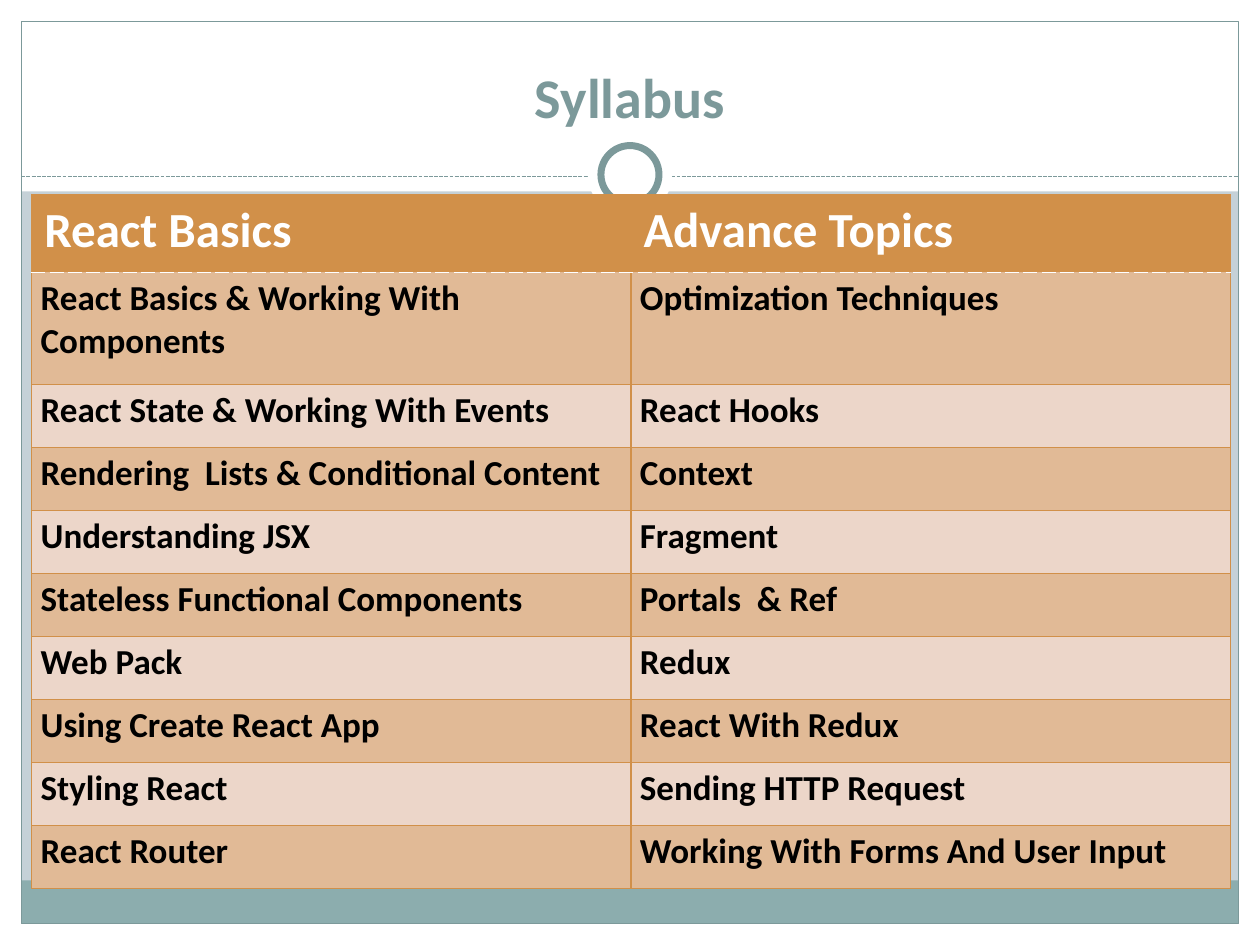
import dataclasses

import lxml.etree
import pptx
import pptx.dml.color
import pptx.enum.dml
import pptx.enum.shapes
import pptx.enum.text
import pptx.oxml.ns
import pptx.util

Cm = pptx.util.Cm
Pt = pptx.util.Pt
SHAPE = pptx.enum.shapes.MSO_SHAPE
ALIGN = pptx.enum.text.PP_ALIGN


@dataclasses.dataclass(frozen=True)
class Theme:
    font: str = "Calibri"
    title_size: int = 32
    header_size: int = 28
    body_size: int = 20
    background: str = "C5D1D7"
    white: str = "FFFFFF"
    black: str = "000000"
    accent: str = "7C999A"
    footer: str = "8CADAE"
    orange: str = "D19049"
    dark_row: str = "E1BA96"
    light_row: str = "ECD6C9"
    hairline: float = 0.75


SLIDE_WIDTH, SLIDE_HEIGHT = 25.4, 19.05
MARGIN = 0.43
BANNER_HEIGHT = 3.86
RULE_Y = 3.56
RING_CENTER = (SLIDE_WIDTH / 2, 3.52)
COLUMN_WIDTH = 12.08
ROW_HEIGHTS = [1.57, 2.26] + [1.27] * 8

TOPICS = [
    ("React Basics", "Advance Topics"),
    ("React Basics & Working With Components", "Optimization Techniques"),
    ("React State & Working With Events", "React Hooks"),
    ("Rendering  Lists & Conditional Content", "Context"),
    ("Understanding JSX", "Fragment"),
    ("Stateless Functional Components", "Portals  & Ref"),
    ("Web Pack", "Redux"),
    ("Using Create React App", "React With Redux"),
    ("Styling React", "Sending HTTP Request"),
    ("React Router", "Working With Forms And User Input"),
]


def rgb(color):
    return pptx.dml.color.RGBColor.from_string(color)


def write_text(frame, text, *, font, size, color, bold=True, align=ALIGN.LEFT):
    paragraph = frame.paragraphs[0]
    paragraph.alignment = align
    run = paragraph.add_run()
    run.text = text
    run.font.name = font
    run.font.size = Pt(size)
    run.font.bold = bold
    run.font.color.rgb = rgb(color)


def add_border(cell, side, color, width, dash="solid"):
    """Draw one cell side: L, R, T or B, called in that order before the fill."""
    qn = pptx.oxml.ns.qn
    properties = cell._tc.get_or_add_tcPr()
    line = lxml.etree.SubElement(properties, qn(f"a:ln{side}"), w=str(Pt(width)))
    fill = lxml.etree.SubElement(line, qn("a:solidFill"))
    lxml.etree.SubElement(fill, qn("a:srgbClr"), val=color)
    lxml.etree.SubElement(line, qn("a:prstDash"), val=dash)


class SlideBuilder:
    def __init__(self, slide, theme):
        self.slide = slide
        self.theme = theme

    def background(self):
        fill = self.slide.background.fill
        fill.solid()
        fill.fore_color.rgb = rgb(self.theme.background)

    def shape(self, left, top, width, height, *, kind=SHAPE.RECTANGLE,
              fill=None, line=None, line_width=Theme.hairline):
        shape = self.slide.shapes.add_shape(
            kind, Cm(left), Cm(top), Cm(width), Cm(height))
        shape.shadow.inherit = False
        if fill:
            shape.fill.solid()
            shape.fill.fore_color.rgb = rgb(fill)
        else:
            shape.fill.background()
        if line:
            shape.line.color.rgb = rgb(line)
            shape.line.width = Pt(line_width)
        else:
            shape.line.fill.background()

    def circle(self, center, diameter, **style):
        x, y = center
        self.shape(x - diameter / 2, y - diameter / 2, diameter, diameter,
                   kind=SHAPE.OVAL, **style)

    def dashed_rule(self, start, end, y):
        rule = self.slide.shapes.add_connector(
            pptx.enum.shapes.MSO_CONNECTOR.STRAIGHT, Cm(start), Cm(y), Cm(end), Cm(y))
        rule.line.color.rgb = rgb(self.theme.accent)
        rule.line.width = Pt(self.theme.hairline)
        rule.line.dash_style = pptx.enum.dml.MSO_LINE.SQUARE_DOT
        lxml.etree.SubElement(rule._element.spPr, pptx.oxml.ns.qn("a:effectLst"))

    def title(self, text, left, top, width, height):
        """Place the title and bring it in front of the banner."""
        title = self.slide.shapes.title
        title.left, title.top = Cm(left), Cm(top)
        title.width, title.height = Cm(width), Cm(height)
        frame = title.text_frame
        frame.auto_size = pptx.enum.text.MSO_AUTO_SIZE.NONE
        frame.vertical_anchor = pptx.enum.text.MSO_ANCHOR.BOTTOM
        write_text(frame, text, font=self.theme.font, size=self.theme.title_size,
                   color=self.theme.accent, align=ALIGN.CENTER)
        title._element.getparent().append(title._element)

    def table(self, rows, left, top, column_width, row_heights):
        columns = len(rows[0])
        table = self.slide.shapes.add_table(
            len(rows), columns, Cm(left), Cm(top),
            Cm(column_width * columns), Cm(sum(row_heights))).table
        for column in table.columns:
            column.width = Cm(column_width)
        for index, (texts, height) in enumerate(zip(rows, row_heights)):
            table.rows[index].height = Cm(height)
            for cell, text in zip(table.rows[index].cells, texts):
                self.table_cell(cell, text, index)

    def table_cell(self, cell, text, row):
        theme = self.theme
        solid = (theme.orange, theme.hairline)
        header_rule = (theme.white, 0.9, "sysDash")
        add_border(cell, "L", *solid)
        add_border(cell, "R", *solid)
        add_border(cell, "T", *(header_rule if row == 1 else solid))
        add_border(cell, "B", *(header_rule if row == 0 else solid))
        if row == 0:
            fill, color, size = theme.orange, theme.white, theme.header_size
        else:
            fill = theme.dark_row if row % 2 else theme.light_row
            color, size = theme.black, theme.body_size
            cell.margin_left = cell.margin_right = Cm(0.18)
            cell.margin_top = cell.margin_bottom = Cm(0.1)
        cell.fill.solid()
        cell.fill.fore_color.rgb = rgb(fill)
        write_text(cell.text_frame, text, font=theme.font, size=size, color=color)


def main():
    theme = Theme()
    presentation = pptx.Presentation()
    presentation.slide_width = Cm(SLIDE_WIDTH)
    presentation.slide_height = Cm(SLIDE_HEIGHT)
    title_only = presentation.slide_layouts[5]
    builder = SlideBuilder(presentation.slides.add_slide(title_only), theme)

    right, bottom = SLIDE_WIDTH - MARGIN, SLIDE_HEIGHT - MARGIN
    inner_width = right - MARGIN
    builder.background()
    for area in [(0, bottom, SLIDE_WIDTH, MARGIN),
                 (0, 0, SLIDE_WIDTH, BANNER_HEIGHT),
                 (0, 0, MARGIN, SLIDE_HEIGHT),
                 (right, 0, MARGIN, SLIDE_HEIGHT)]:
        builder.shape(*area, fill=theme.white)
    builder.shape(MARGIN, 17.75, inner_width, bottom - 17.75, fill=theme.footer)
    builder.shape(MARGIN, MARGIN, inner_width, bottom - MARGIN, line=theme.accent)
    builder.dashed_rule(MARGIN, right, RULE_Y)
    builder.circle(RING_CENTER, 1.7, fill=theme.white)
    builder.circle(RING_CENTER, 1.17, fill=theme.white, line=theme.accent, line_width=4)
    builder.title("Syllabus", 0.85, 0.64, 23.7, 2.11)
    builder.table(TOPICS, 0.64, 3.92, COLUMN_WIDTH, ROW_HEIGHTS)
    presentation.save("out.pptx")


if __name__ == "__main__":
    main()
